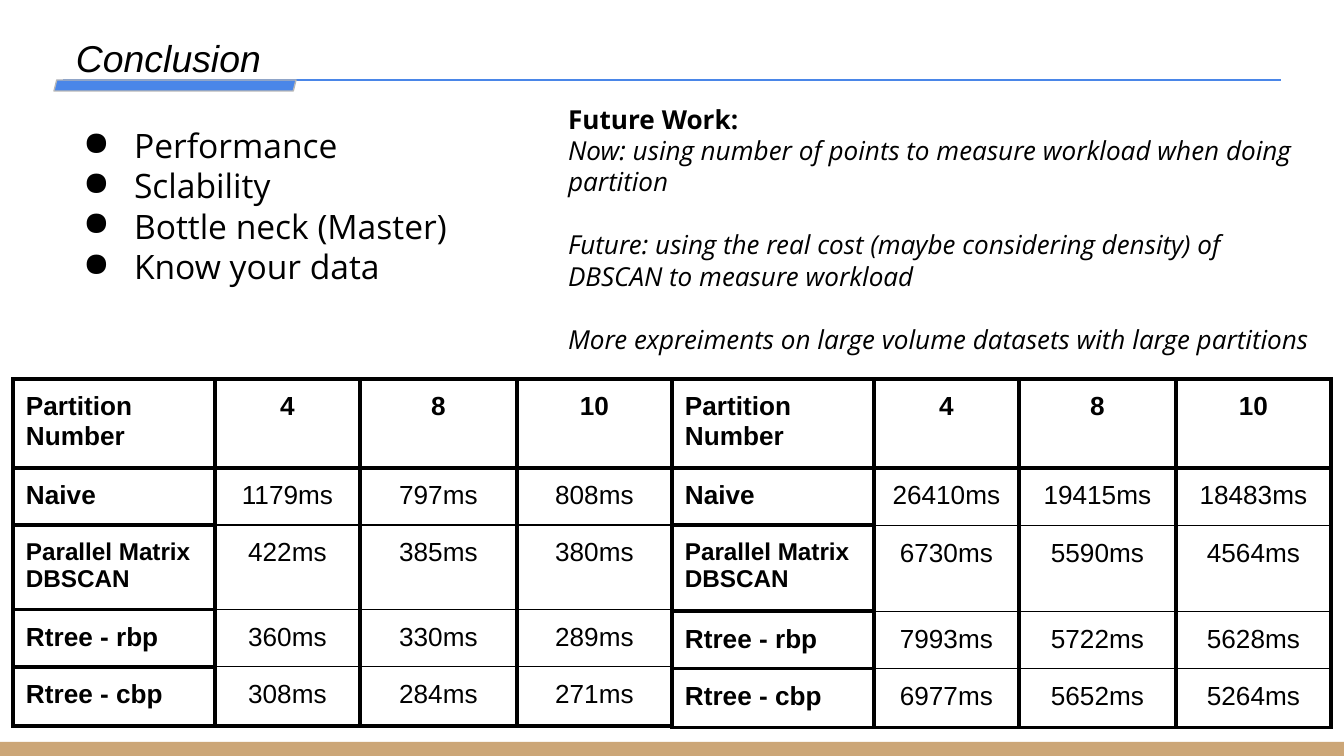
"""Build the Conclusion slide with takeaways, future work and two timing tables."""
from dataclasses import dataclass

from lxml import etree
from pptx import Presentation
from pptx.dml.color import RGBColor
from pptx.enum.shapes import MSO_CONNECTOR, MSO_SHAPE
from pptx.enum.text import PP_ALIGN
from pptx.oxml.ns import qn
from pptx.util import Emu, Pt

LEFT, CENTER = PP_ALIGN.LEFT, PP_ALIGN.CENTER
STRAIGHT = MSO_CONNECTOR.STRAIGHT
RECTANGLE, PARALLELOGRAM = MSO_SHAPE.RECTANGLE, MSO_SHAPE.PARALLELOGRAM
EMU_PER_PX = 914400 / 134.4


@dataclass(frozen=True)
class Theme:
    ink: str = "000000"
    accent: str = "4A86E8"
    accent_edge: str = "B7B7B7"
    footer: str = "CCA677"
    heading_font: str = "Arial"
    body_font: str = "Open Sans"
    title: int = 20
    takeaway: int = 18
    body: int = 14
    small: int = 13
    thick: float = 2.25
    thin: float = 0.75


THEME = Theme()
SLIDE_SIZE = (1344, 756)
INSET = 13
TITLE = "Conclusion"
TAKEAWAYS = ["Performance", "Sclability", "Bottle neck (Master)", "Know your data"]
FUTURE_HEADING = "Future Work:"
FUTURE_WORK = [
    "Now: using number of points to measure workload when doing partition",
    "Future: using the real cost (maybe considering density) of DBSCAN to measure workload",
    "More expreiments on large volume datasets with large partitions",
]
HEADER = ["Partition Number", "4", "8", "10"]
METHODS = ["Naive", "Parallel Matrix DBSCAN", "Rtree - rbp", "Rtree - cbp"]
SMALL_LABEL = "Parallel Matrix DBSCAN"
COLUMN_WIDTHS = [202, 145, 157, 155]
TABLE_TOP = 379
TIMINGS = [
    {
        "left": 13,
        "row_heights": [86, 56, 81, 56, 59],
        "ms": [(1179, 797, 808), (422, 385, 380), (360, 330, 289), (308, 284, 271)],
    },
    {
        "left": 672,
        "row_heights": [89, 57, 86, 57, 59],
        "ms": [(26410, 19415, 18483), (6730, 5590, 4564),
               (7993, 5722, 5628), (6977, 5652, 5264)],
    },
]


def px(length):
    return Emu(round(length * EMU_PER_PX))


def rgb(color):
    return RGBColor.from_string(color)


def write(frame, text, *, size=THEME.body, font=THEME.body_font, bold=False,
          italic=False, align=LEFT, before=0, bullet=None):
    first = frame.paragraphs[0]
    paragraph = frame.add_paragraph() if first.runs else first
    paragraph.alignment = align
    if before:
        paragraph.space_before = Pt(before)
    if bullet:
        properties = paragraph._p.get_or_add_pPr()
        properties.set("marL", str(px(67)))
        properties.set("indent", str(-px(51)))
        bullet_color = etree.SubElement(properties, qn("a:buClr"))
        etree.SubElement(bullet_color, qn("a:srgbClr"), val=THEME.ink)
        etree.SubElement(properties, qn("a:buChar"), char=bullet)
    run = paragraph.add_run()
    run.text = text
    run.font.size = Pt(size)
    run.font.name = font
    run.font.bold = bold
    run.font.italic = italic
    run.font.color.rgb = rgb(THEME.ink)


def set_insets(holder):
    holder.margin_left = holder.margin_right = px(INSET)
    holder.margin_top = holder.margin_bottom = px(INSET)


def add_text_area(slide, *box):
    frame = slide.shapes.add_textbox(*map(px, box)).text_frame
    frame.word_wrap = True
    set_insets(frame)
    return frame


def add_block(slide, preset, box, fill, edge=None):
    block = slide.shapes.add_shape(preset, *map(px, box))
    block.shadow.inherit = False
    block.fill.solid()
    block.fill.fore_color.rgb = rgb(fill)
    if edge:
        block.line.color.rgb = rgb(edge)
        block.line.width = Pt(THEME.thin)
    else:
        block.line.fill.background()
    return block


def add_title_rule(slide):
    rule = slide.shapes.add_connector(STRAIGHT, px(63), px(80), px(1281), px(80))
    rule.line.color.rgb = rgb(THEME.accent)
    rule.line.width = Pt(THEME.thin)
    etree.SubElement(rule._element.spPr, qn("a:effectLst"))


def set_borders(cell, top, bottom):
    properties = cell._tc.get_or_add_tcPr()
    widths = {"lnL": THEME.thick, "lnR": THEME.thick, "lnT": top, "lnB": bottom}
    for side, width in widths.items():
        border = etree.SubElement(properties, qn(f"a:{side}"), w=str(Pt(width)))
        fill = etree.SubElement(border, qn("a:solidFill"))
        etree.SubElement(fill, qn("a:srgbClr"), val=THEME.ink)


def add_timing_table(slide, left, row_heights, ms):
    rows = [HEADER] + [[method] + [f"{value}ms" for value in values]
                       for method, values in zip(METHODS, ms)]
    box = (left, TABLE_TOP, sum(COLUMN_WIDTHS), sum(row_heights))
    table = slide.shapes.add_table(len(rows), len(HEADER), *map(px, box)).table
    table.first_row = table.horz_banding = False
    for column, width in zip(table.columns, COLUMN_WIDTHS):
        column.width = px(width)
    for row, height in zip(table.rows, row_heights):
        row.height = px(height)
    last = len(rows) - 1
    for r, texts in enumerate(rows):
        for c, text in enumerate(texts):
            cell = table.cell(r, c)
            set_insets(cell)
            is_timing = r > 0 and c > 0
            top = THEME.thin if is_timing and r > 1 else THEME.thick
            bottom = THEME.thin if is_timing and r < last else THEME.thick
            set_borders(cell, top, bottom)
            cell.fill.background()
            write(cell.text_frame, text, font=THEME.heading_font, bold=not is_timing,
                  size=THEME.small if text == SMALL_LABEL else THEME.body,
                  align=CENTER if c else LEFT)


def main():
    deck = Presentation()
    deck.slide_width, deck.slide_height = map(px, SLIDE_SIZE)
    slide = deck.slides.add_slide(deck.slide_layouts[6])

    add_block(slide, RECTANGLE, (0, 742, 1344, 14), THEME.footer)
    write(add_text_area(slide, 63, 22, 1219, 117), TITLE, size=THEME.title,
          font=THEME.heading_font, italic=True)
    add_title_rule(slide)
    for timing in TIMINGS:
        add_timing_table(slide, **timing)
    title_bar = add_block(slide, PARALLELOGRAM, (54, 80, 242, 11),
                          THEME.accent, THEME.accent_edge)
    title_bar.adjustments[0] = 0.25

    takeaways = add_text_area(slide, 54, 112, 422, 196)
    for takeaway in TAKEAWAYS:
        write(takeaways, takeaway, size=THEME.takeaway, bullet="●")

    future = add_text_area(slide, 555, 90, 775, 227)
    write(future, FUTURE_HEADING, bold=True)
    for i, plan in enumerate(FUTURE_WORK):
        write(future, plan, italic=True, before=17 if i else 0)

    deck.save("out.pptx")


if __name__ == "__main__":
    main()
